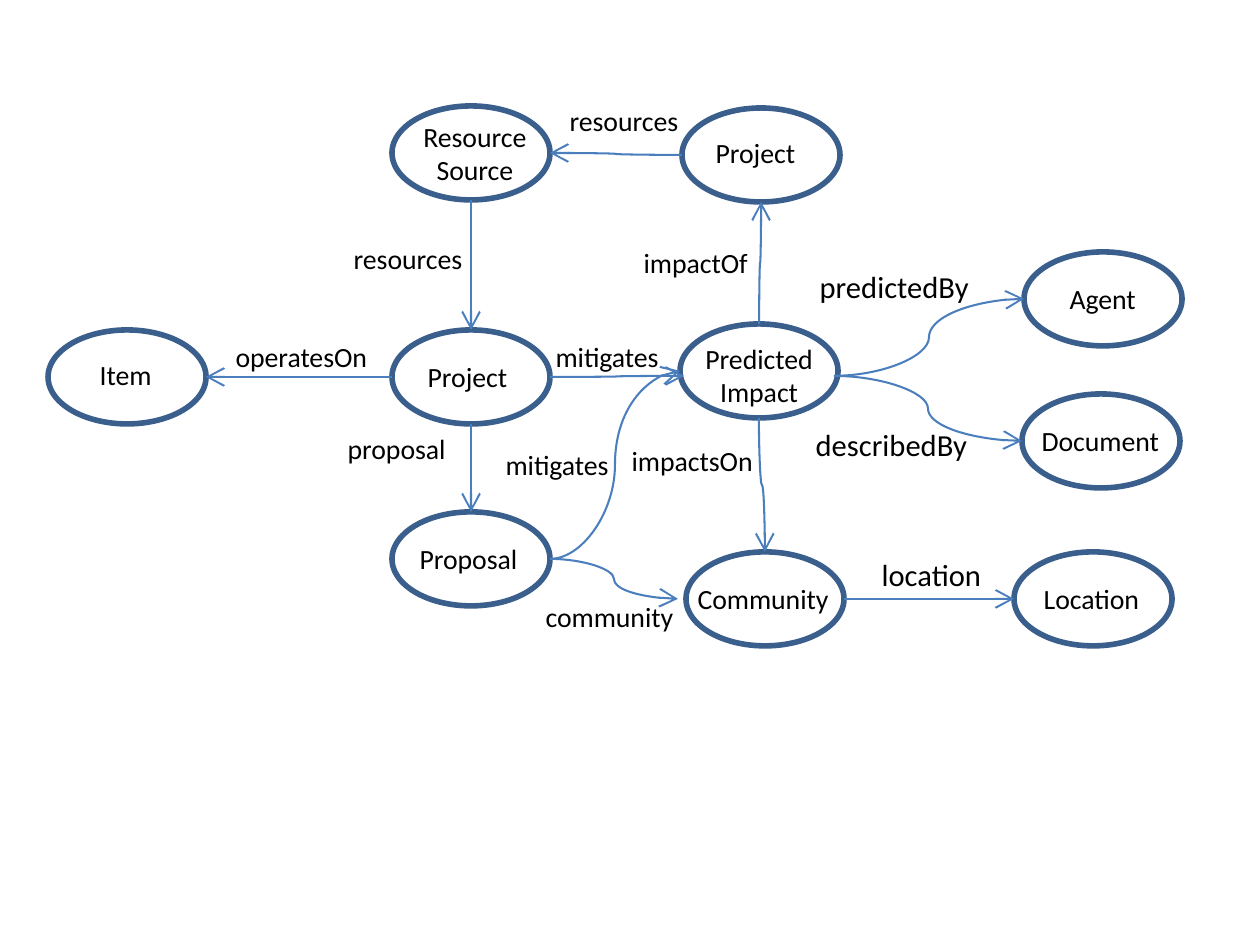
from lxml import etree
from pptx import Presentation, util as u
from pptx.dml.color import RGBColor
from pptx.enum import shapes, text
from pptx.oxml.ns import qn

SLIDE_W = 6.3
SLIDE_H = SLIDE_W * 3 / 4
OVAL_W, OVAL_H = 0.79, 0.47
OUTLINE, ARROW, INK = "3A5F8C", "4B7EBC", "000000"

CONCEPTS = {
    "impact": (3.4, 1.62, "Predicted\nImpact", (3.42, 1.66, 0.75, 0.44)),
    "impacting": (3.41, 0.54, "Project", (3.48, 0.63, 0.61, 0.27)),
    "community": (3.43, 2.76, "Community", (3.39, 2.86, 0.86, 0.27)),
    "project": (1.96, 1.65, "Project", (2.04, 1.75, 0.61, 0.27)),
    "proposal": (1.96, 2.56, "Proposal", (2, 2.66, 0.7, 0.27)),
    "agent": (5.12, 1.26, "Agent", (5.25, 1.36, 0.54, 0.27)),
    "source": (1.96, 0.53, "Resource\nSource", (2.01, 0.55, 0.73, 0.44)),
    "document": (5.11, 1.97, "Document", (5.11, 2.07, 0.8, 0.27)),
    "item": (0.24, 1.65, "Item", (0.4, 1.74, 0.47, 0.27)),
    "location": (5.07, 2.76, "Location", (5.12, 2.86, 0.69, 0.27)),
}

RELATIONS = [
    ("impact top", "impacting bottom", "impactOf", (3.12, 1.18, 0.73, 0.27), 10),
    ("impact bottom", "community top", "impactsOn", (3.06, 2.17, 0.81, 0.27), 10),
    ("project right", "impact left caption", "mitigates", (2.68, 1.65, 0.73, 0.27), 10),
    ("project bottom", "proposal top", "proposal", (1.64, 2.11, 0.7, 0.27), 10),
    ("impact right caption", "agent left", "predictedBy", (4, 1.29, 0.96, 0.29), 11),
    ("source bottom", "project top", "resources", (1.67, 1.16, 0.76, 0.27), 10),
    ("impacting left", "source right", "resources", (2.75, 0.47, 0.76, 0.27), 10),
    ("proposal right", "impact left", "mitigates", (2.43, 2.19, 0.73, 0.27), 10),
    ("impact right caption", "document left", "describedBy", (3.98, 2.08, 0.97, 0.29), 11),
    ("project left", "item right", "operatesOn", (1.08, 1.65, 0.87, 0.27), 10),
    ("community right", "location left", "location", (4.31, 2.73, 0.7, 0.29), 11),
    ("proposal right", "community left caption", "community", (2.63, 2.95, 0.85, 0.27), 10),
]

SIDES = {"top": (0.5, 0), "left": (0, 0.5), "bottom": (0.5, 1), "right": (1, 0.5)}


def color(value):
    return RGBColor.from_string(value)


def add_words(parent, words, box, size):
    frame = parent.add_textbox(*map(u.Inches, box)).text_frame
    frame.word_wrap = False
    frame.auto_size = text.MSO_AUTO_SIZE.SHAPE_TO_FIT_TEXT
    frame.text = words
    for line in frame.paragraphs:
        line.alignment = text.PP_ALIGN.CENTER if "\n" in words else text.PP_ALIGN.LEFT
        line.font.name = "Calibri"
        line.font.size = u.Pt(size)
        line.font.color.rgb = color(INK)


def add_concept(slide, left, top, caption, caption_box):
    concept = slide.shapes.add_group_shape()
    oval = concept.shapes.add_shape(
        shapes.MSO_SHAPE.OVAL, *map(u.Inches, (left, top, OVAL_W, OVAL_H)))
    oval.shadow.inherit = False
    oval.fill.background()
    oval.line.color.rgb = color(OUTLINE)
    oval.line.width = u.Pt(2)
    add_words(concept.shapes, caption, caption_box, 10)


def port(place):
    key, side, *on_caption = place.split()
    left, top, _, caption_box = CONCEPTS[key]
    x, y, width, height = caption_box if on_caption else (left, top, OVAL_W, OVAL_H)
    across, down = SIDES[side]
    return x + across * width, y + down * height


def add_arrow(slide, start, end):
    ends = [port(start), port(end)]
    vertical = start.split()[1] in ("top", "bottom")
    if vertical:
        mid_x, mid_y = (sum(axis) / 2 for axis in zip(*ends))
        ends = [(mid_x + y - mid_y, mid_y + mid_x - x) for x, y in ends]
    arrow = slide.shapes.add_connector(
        shapes.MSO_CONNECTOR.CURVE, *(u.Inches(value) for point in ends for value in point))
    arrow.line.color.rgb = color(ARROW)
    arrow.line.width = u.Pt(0.75)
    properties = arrow._element.spPr
    if vertical:
        properties.find(qn("a:xfrm")).set("rot", str(90 * 60000))
    etree.SubElement(properties.find(qn("a:ln")), qn("a:tailEnd"), type="arrow")
    etree.SubElement(properties, qn("a:effectLst"))


def main():
    deck = Presentation()
    deck.slide_width = u.Inches(SLIDE_W)
    deck.slide_height = u.Inches(SLIDE_H)
    slide = deck.slides.add_slide(deck.slide_layouts[6])
    for concept in CONCEPTS.values():
        add_concept(slide, *concept)
    for start, end, relation, box, size in RELATIONS:
        add_arrow(slide, start, end)
        add_words(slide.shapes, relation, box, size)
    deck.save("out.pptx")


if __name__ == "__main__":
    main()
